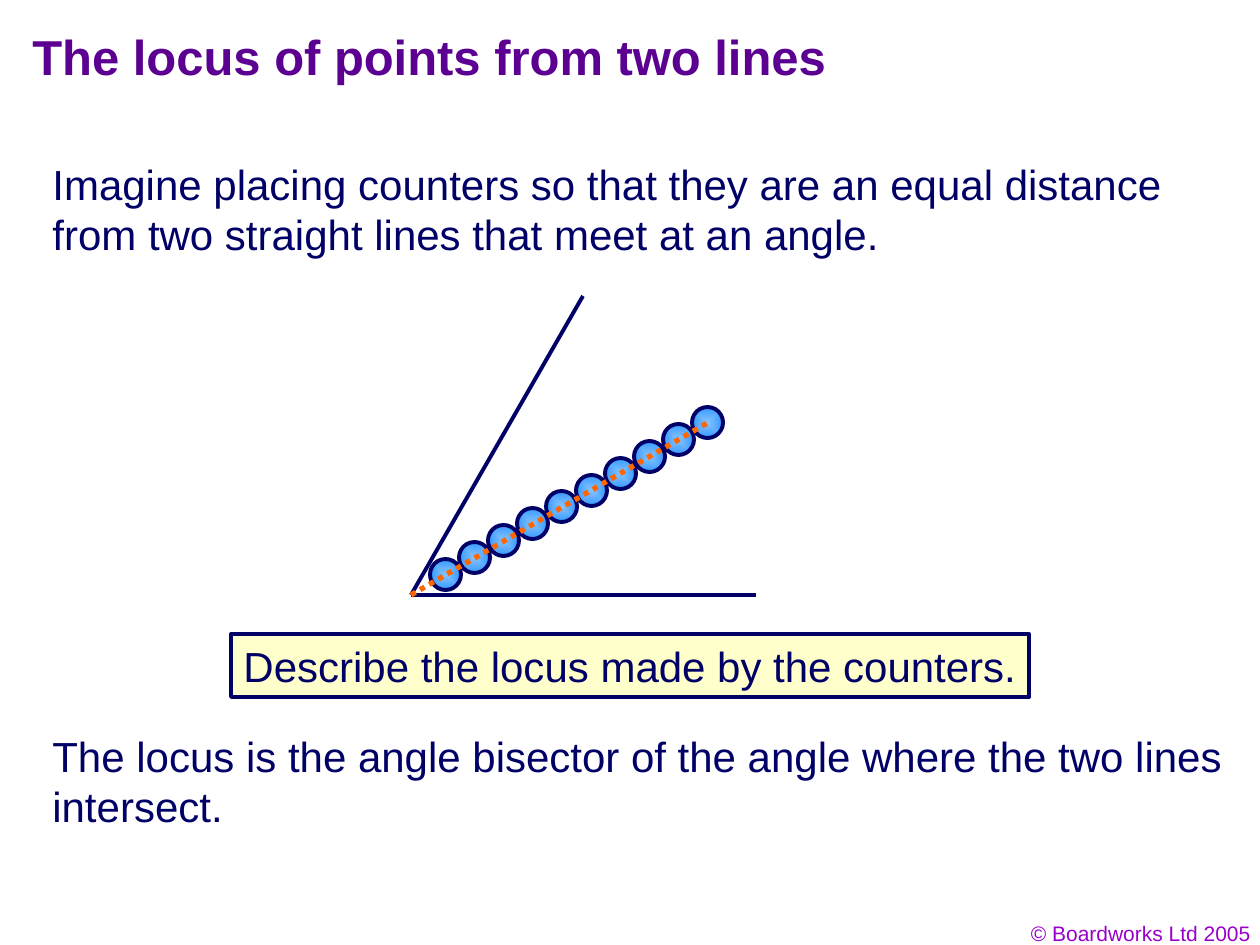
import pptx
import pptx.dml.color
import pptx.enum.dml
import pptx.enum.shapes
import pptx.enum.text
import pptx.oxml
import pptx.oxml.ns
import pptx.util

EMU_PER_PX = 914400 / 126
COLORS = {
    "title": "5B0091",
    "body": "010066",
    "navy": "000066",
    "bisector": "FF6600",
    "counter_center": "89C3FE",
    "counter_edge": "3399FF",
    "question": "FFFFCC",
    "copyright": "9900CC",
}
VERTEX = (411, 595)
COUNTER_COUNT = 10
COUNTER_SIZE = 31
FIRST_COUNTER = (430, 559)
LAST_COUNTER = (692, 407)


def px(length):
    return pptx.util.Emu(round(length * EMU_PER_PX))


def rgb(name):
    return pptx.dml.color.RGBColor.from_string(COLORS[name])


def write(shape, wording, size, color, bold=False, align="LEFT", wrap=True):
    frame = shape.text_frame
    frame.word_wrap = wrap
    frame.vertical_anchor = pptx.enum.text.MSO_ANCHOR.TOP
    frame.text = wording
    paragraph = frame.paragraphs[0]
    paragraph.alignment = getattr(pptx.enum.text.PP_ALIGN, align)
    paragraph.font.name = "Arial"
    paragraph.font.size = pptx.util.Pt(size)
    paragraph.font.bold = bold
    paragraph.font.color.rgb = rgb(color)


def add_text(slide, box, wording, size, color, **style):
    write(slide.shapes.add_textbox(*map(px, box)), wording, size, color, **style)


def add_outlined(slide, kind, box):
    preset = getattr(pptx.enum.shapes.MSO_SHAPE, kind)
    shape = slide.shapes.add_shape(preset, *map(px, box))
    shape.shadow.inherit = False
    shape.line.color.rgb = rgb("navy")
    shape.line.width = pptx.util.Pt(2.25)
    return shape


def add_line(slide, start, end, color, width, dash=None):
    line = slide.shapes.add_connector(
        pptx.enum.shapes.MSO_CONNECTOR.STRAIGHT, *map(px, start + end))
    line.line.color.rgb = rgb(color)
    line.line.width = pptx.util.Pt(width)
    if dash:
        line.line.dash_style = dash
    effects = pptx.oxml.parse_xml(
        f"<a:effectLst {pptx.oxml.ns.nsdecls('a')}/>")
    line._element.spPr.append(effects)


def add_counter(slide, left, top):
    counter = add_outlined(
        slide, "OVAL", (left, top, COUNTER_SIZE, COUNTER_SIZE))
    counter.fill.gradient()
    stops = counter.fill.gradient_stops
    for stop, position, color in zip(
            stops, (0, 1), ("counter_center", "counter_edge")):
        stop.position = position
        stop.color.rgb = rgb(color)
    gradient = counter._element.spPr.find(pptx.oxml.ns.qn("a:gradFill"))
    gradient.remove(gradient.find(pptx.oxml.ns.qn("a:lin")))
    gradient.append(pptx.oxml.parse_xml(
        f'<a:path {pptx.oxml.ns.nsdecls("a")} path="rect">'
        '<a:fillToRect l="50000" t="50000" r="50000" b="50000"/></a:path>'))


def add_counters(slide):
    for index in range(COUNTER_COUNT):
        share = index / (COUNTER_COUNT - 1)
        left, top = (round(first + share * (last - first))
                     for first, last in zip(FIRST_COUNTER, LAST_COUNTER))
        add_counter(slide, left, top)


def add_question(slide, box, wording):
    question = add_outlined(slide, "RECTANGLE", box)
    question.fill.solid()
    question.fill.fore_color.rgb = rgb("question")
    write(question, wording, 24, "navy", wrap=False)
    question.text_frame.auto_size = pptx.enum.text.MSO_AUTO_SIZE.SHAPE_TO_FIT_TEXT


def main():
    deck = pptx.Presentation()
    deck.slide_width, deck.slide_height = px(1260), px(945)
    slide = deck.slides.add_slide(deck.slide_layouts[6])

    add_text(slide, (969, 914, 294, 38), "© Boardworks Ltd 2005",
             12, "copyright", align="RIGHT")
    add_text(slide, (20, 20, 1013, 87), "The locus of points from two lines",
             28, "title", bold=True)
    add_text(slide, (40, 152, 1178, 113),
             "Imagine placing counters so that they are an equal distance "
             "from two straight lines that meet at an angle.", 24, "body")
    add_text(slide, (40, 724, 1200, 113),
             "The locus is the angle bisector of the angle where the two lines "
             "intersect.", 24, "body")

    for arm_end in ((756, 595), (583, 296)):
        add_line(slide, VERTEX, arm_end, "navy", 2.25)
    add_counters(slide)
    add_line(slide, VERTEX, (709, 422), "bisector", 3,
             pptx.enum.dml.MSO_LINE.ROUND_DOT)
    add_question(slide, (231, 634, 798, 63),
                 "Describe the locus made by the counters.")

    deck.save("out.pptx")


if __name__ == "__main__":
    main()
